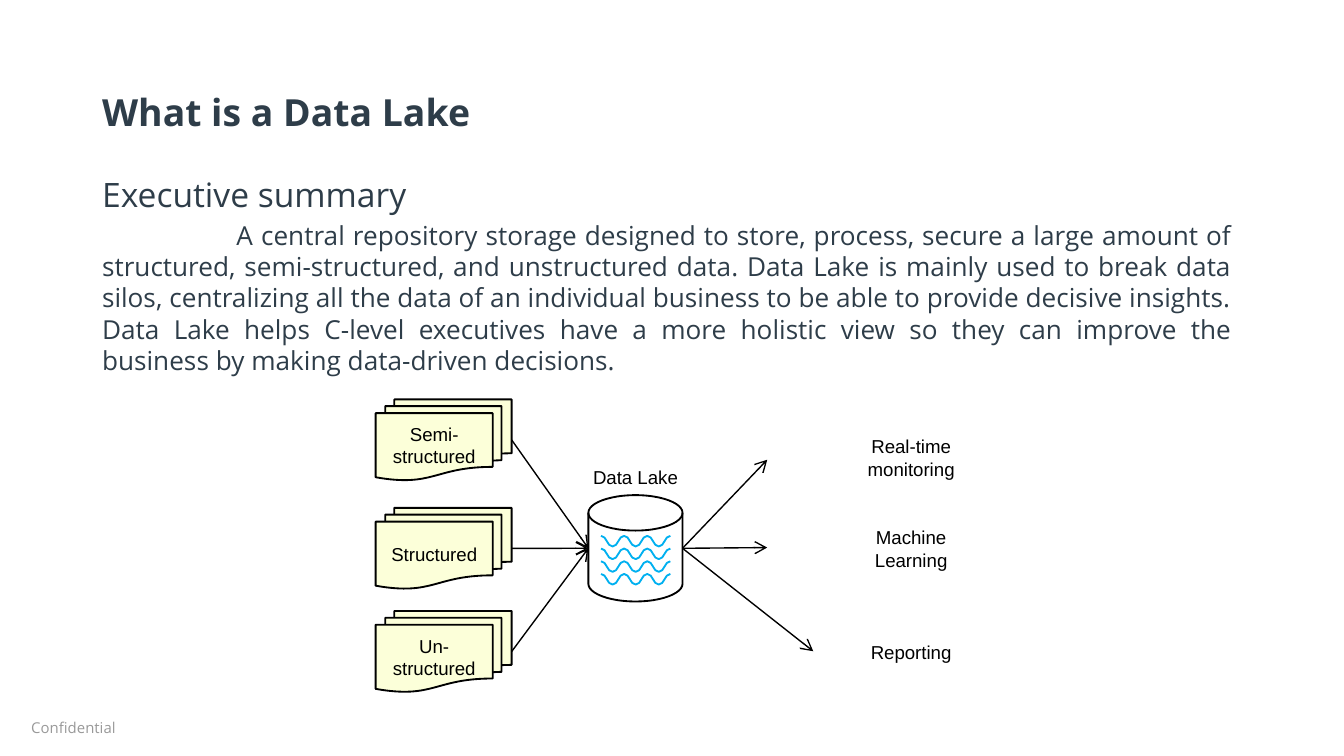
from lxml.etree import SubElement
from pptx import Presentation
from pptx.dml.color import RGBColor
from pptx.enum.shapes import MSO_CONNECTOR as Link, MSO_SHAPE as Preset
from pptx.enum.text import MSO_ANCHOR as Anchor, MSO_AUTO_SIZE as AutoSize, PP_ALIGN as Align
from pptx.oxml.ns import qn
from pptx.util import Cm, Pt

SUMMARY = (
    "A central repository storage designed to store, process, secure a large amount of "
    "structured, semi-structured, and unstructured data. Data Lake is mainly used to break "
    "data silos, centralizing all the data of an individual business to be able to provide "
    "decisive insights. Data Lake helps C-level executives have a more holistic view so they "
    "can improve the business by making data-driven decisions."
)


def color(hex_code):
    return RGBColor.from_string(hex_code)


def write(frame, text, font="Arial", size=10, ink="000000", bold=False,
          align=Align.LEFT, indent=0):
    frame.word_wrap = True
    for number, content in enumerate(text.split("\n")):
        para = frame.add_paragraph() if number else frame.paragraphs[0]
        para.alignment = align
        if indent:
            para._p.get_or_add_pPr().set("indent", str(Cm(indent)))
        span = para.add_run()
        span.text = content
        span.font.name = font
        span.font.size = Pt(size)
        span.font.bold = bold
        span.font.color.rgb = color(ink)


def smooth(shape):
    outline = shape._element.find(".//" + qn("a:path"))
    start_x, start_y = (int(outline.find(".//" + qn("a:pt")).get(axis)) for axis in "xy")
    for segment in outline.findall(qn("a:lnTo")):
        end = segment.find(qn("a:pt"))
        end_x, end_y = int(end.get("x")), int(end.get("y"))
        middle = (start_x + end_x) // 2
        curve = SubElement(outline, qn("a:cubicBezTo"))
        for x, y in ((middle, start_y), (middle, end_y), (end_x, end_y)):
            SubElement(curve, qn("a:pt"), x=str(x), y=str(y))
        outline.remove(segment)
        start_x, start_y = end_x, end_y


class SlideBuilder:
    """Draws styled elements on the current page."""

    heading_font = "Open Sans"
    heading_ink = "2E3D49"
    ink = "000000"
    paper = "FCFFD9"
    water = "00B0F0"

    def __init__(self, page):
        self.page = page

    def heading(self, text, left, top, width, height, anchor=Anchor.TOP, ink=heading_ink, **style):
        box = self.page.shapes.add_textbox(Cm(left), Cm(top), Cm(width), Cm(height))
        frame = box.text_frame
        frame.margin_left = frame.margin_right = Cm(0.25)
        frame.margin_top = frame.margin_bottom = Cm(0.25)
        frame.vertical_anchor = anchor
        write(frame, text, font=self.heading_font, ink=ink, **style)

    def label(self, text, left, top, height):
        box = self.page.shapes.add_textbox(Cm(left), Cm(top), Cm(2.18), Cm(height))
        write(box.text_frame, text, align=Align.CENTER)
        box.text_frame.auto_size = AutoSize.SHAPE_TO_FIT_TEXT

    def outline(self, shape, ink):
        shape.shadow.inherit = False
        shape.line.color.rgb = color(ink)
        shape.line.width = Pt(1)

    def documents(self, text, left, top, width, height):
        stack = self.page.shapes.add_shape(
            Preset.FLOWCHART_MULTIDOCUMENT, Cm(left), Cm(top), Cm(width), Cm(height))
        self.outline(stack, self.ink)
        stack.fill.solid()
        stack.fill.fore_color.rgb = color(self.paper)
        stack.text_frame.vertical_anchor = Anchor.MIDDLE
        write(stack.text_frame, text, align=Align.CENTER)

    def disk(self, left, top, width, height):
        disk = self.page.shapes.add_shape(
            Preset.FLOWCHART_MAGNETIC_DISK, Cm(left), Cm(top), Cm(width), Cm(height))
        self.outline(disk, self.ink)
        disk.fill.background()

    def wave(self, left, top, width, height, swings=6):
        points = [(Cm(left + width * swing / swings), Cm(top + height * (swing % 2)))
                  for swing in range(swings + 1)]
        builder = self.page.shapes.build_freeform(*points[0])
        builder.add_line_segments(points[1:], close=False)
        wave = builder.convert_to_shape()
        smooth(wave)
        self.outline(wave, self.water)
        wave.fill.background()

    def arrow(self, start, end):
        arrow = self.page.shapes.add_connector(
            Link.STRAIGHT, *(Cm(value) for value in (*start, *end)))
        arrow.line.color.rgb = color(self.ink)
        arrow.line.width = Pt(0.75)
        properties = arrow._element.spPr
        SubElement(properties.find(qn("a:ln")), qn("a:tailEnd"), type="arrow")
        SubElement(properties, qn("a:effectLst"))


def main():
    deck = Presentation()
    deck.slide_width, deck.slide_height = Cm(25.4), Cm(14.29)
    slide = SlideBuilder(deck.slides.add_slide(deck.slide_layouts[6]))

    slide.heading("Confidential", 0.34, 13.42, 5.77, 0.46, size=8, ink="999999")
    slide.heading(SUMMARY, 1.68, 3.89, 21.86, 3.45, size=14, align=Align.JUSTIFY, indent=2.54)
    slide.heading("Executive summary", 1.68, 3.03, 22.05, 1.32, size=18)
    slide.heading("What is a Data Lake", 1.68, 1.3, 22.05, 1.6, Anchor.MIDDLE, size=20, bold=True)

    lake_left, lake_top, lake_width, lake_height = 11.12, 9.36, 1.78, 2.01
    middle = lake_top + lake_height / 2
    inlet, outlet = (lake_left, middle), (lake_left + lake_width, middle)
    slide.disk(lake_left, lake_top, lake_width, lake_height)
    for row in range(4):
        slide.wave(11.36, 10.13 + 0.24 * row, 1.31, 0.2)
    slide.label("Data Lake", 10.92, 8.69, 0.69)

    left, width, height = 7.1, 2.57, 1.53
    sources = [("Semi-structured", 7.55), ("Structured", 9.6), ("Un-\nstructured", 11.55)]
    for text, top in sources:
        slide.documents(text, left, top, width, height)
        slide.arrow((left + width, top + height / 2), inlet)

    uses = [
        ("Real-time monitoring", 8.1, 1.12, (14.5, 8.69)),
        ("Machine Learning", 9.82, 1.12, (14.5, 10.35)),
        ("Reporting", 11.99, 0.69, (15.37, 12.31)),
    ]
    for text, top, label_height, tip in uses:
        slide.arrow(outlet, tip)
        slide.label(text, 16.13, top, label_height)

    deck.save("out.pptx")


if __name__ == "__main__":
    main()
